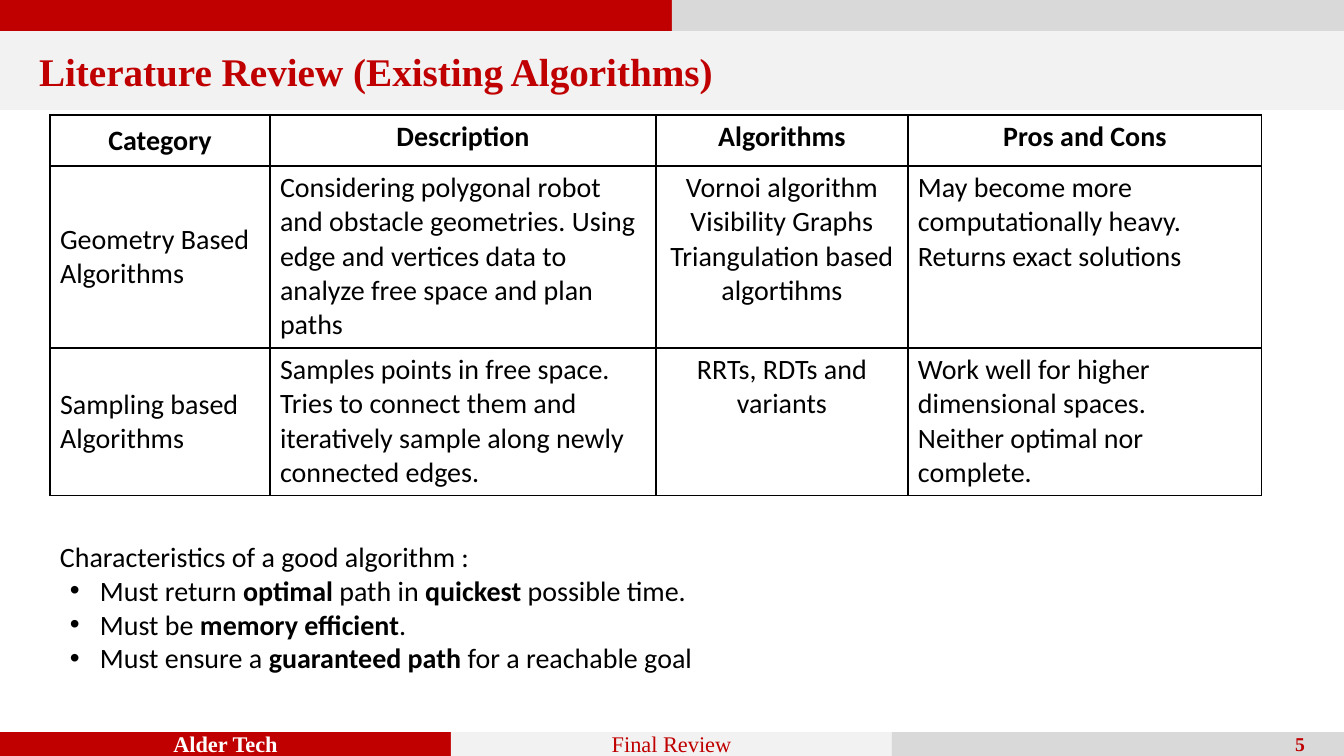
from lxml import etree
from pptx import Presentation
from pptx import util as u
from pptx.dml.color import RGBColor
from pptx.enum import shapes, text
from pptx.oxml.ns import qn

# Content
SERIF, SANS = "Times New Roman", "Calibri"
RED, GREY, PALE, WHITE, BLACK = "C00000", "D9D9D9", "F2F2F2", "FFFFFF", "000000"
LEFT, CENTER, RIGHT = text.PP_ALIGN.LEFT, text.PP_ALIGN.CENTER, text.PP_ALIGN.RIGHT

# box in px, fill, words, size, colour, bold, alignment, left and right inset in px
BANDS = [
    ((0, 0, 672, 31), RED, "", 16, WHITE, False, CENTER, 10, 10),
    ((672, 0, 672, 31), GREY, "", 16, WHITE, False, CENTER, 10, 10),
    ((0, 31, 1344, 79), PALE, "Literature Review (Existing Algorithms)",
     28, RED, True, LEFT, 39, 10),
    ((0, 732, 451, 24), RED, "Alder Tech", 16, WHITE, True, CENTER, 10, 10),
    ((451, 732, 441, 24), PALE, "Final Review", 16, RED, False, CENTER, 10, 10),
    ((892, 732, 452, 24), GREY, "5", 14, RED, True, RIGHT, 10, 39),
]

TABLE_AT = (50, 115)
COLUMNS = [220, 386, 252, 354]
ROWS = [51, 182, 147]
REVIEW = [
    [["Category"], ["Description"], ["Algorithms"], ["Pros and Cons"]],
    [["Geometry Based Algorithms"],
     ["Considering polygonal robot and obstacle geometries. Using edge and "
      "vertices data to analyze free space and plan paths"],
     ["Vornoi algorithm", "Visibility Graphs", "Triangulation based algortihms"],
     ["May become more computationally heavy.", "Returns exact solutions"]],
    [["Sampling based Algorithms"],
     ["Samples points in free space. Tries to connect them and iteratively "
      "sample along newly connected edges."],
     ["RRTs, RDTs and variants"],
     ["Work well for higher dimensional spaces.", "Neither optimal nor complete."]],
]
ALGORITHMS_COLUMN = 2

GOALS_BOX = (50, 535, 659, 146)
GOALS_TITLE = "Characteristics of a good algorithm :"
# plain and bold runs alternate, starting with plain
GOALS = [
    ["Must return ", "optimal", " path in ", "quickest", " possible time."],
    ["Must be ", "memory efficient", "."],
    ["Must ensure a ", "guaranteed path", " for a reachable goal"],
]


# Helpers
def px(n):
    return u.Emu(n * 9080)


def rgb(colour):
    return RGBColor.from_string(colour)


def add_run(paragraph, words, size=20, colour=BLACK, bold=False, face=SANS):
    run = paragraph.add_run()
    run.text = words
    run.font.size, run.font.bold, run.font.name = u.Pt(size), bold, face
    run.font.color.rgb = rgb(colour)


def next_paragraph(frame, index):
    return frame.add_paragraph() if index else frame.paragraphs[0]


def add_borders(cell):
    properties = cell._tc.get_or_add_tcPr()
    for side in ("a:lnL", "a:lnR", "a:lnT", "a:lnB"):
        line = etree.SubElement(properties, qn(side), w=str(u.Pt(1)))
        fill = etree.SubElement(line, qn("a:solidFill"))
        etree.SubElement(fill, qn("a:srgbClr"), val=BLACK)


def add_bullet(paragraph):
    properties = paragraph._p.get_or_add_pPr()
    properties.set("marL", str(px(40)))
    properties.set("indent", str(-px(30)))
    etree.SubElement(properties, qn("a:buFont"), typeface="Arial")
    etree.SubElement(properties, qn("a:buChar"), char="•")


deck = Presentation()
deck.slide_width, deck.slide_height = px(1344), px(756)
slide = deck.slides.add_slide(deck.slide_layouts[6])

# Header and footer bands
for box, fill, words, size, colour, bold, align, left, right in BANDS:
    band = slide.shapes.add_shape(shapes.MSO_SHAPE.RECTANGLE, *map(px, box))
    band.shadow.inherit = False
    band.fill.solid()
    band.fill.fore_color.rgb = rgb(fill)
    band.line.fill.background()
    if words:
        frame = band.text_frame
        frame.vertical_anchor = text.MSO_ANCHOR.MIDDLE
        frame.margin_left, frame.margin_right = px(left), px(right)
        frame.paragraphs[0].alignment = align
        add_run(frame.paragraphs[0], words, size, colour, bold, SERIF)

# Review table
review = slide.shapes.add_table(
    len(ROWS), len(COLUMNS), *map(px, (*TABLE_AT, sum(COLUMNS), sum(ROWS)))).table
review.first_row = review.horz_banding = False
for column, width in zip(review.columns, COLUMNS):
    column.width = px(width)
for row, height in zip(review.rows, ROWS):
    row.height = px(height)
for r, entries in enumerate(REVIEW):
    for c, lines in enumerate(entries):
        cell = review.cell(r, c)
        add_borders(cell)
        cell.fill.background()
        cell.vertical_anchor = text.MSO_ANCHOR.TOP if c else text.MSO_ANCHOR.MIDDLE
        centred = r == 0 or c == ALGORITHMS_COLUMN
        for i, words in enumerate(lines):
            paragraph = next_paragraph(cell.text_frame, i)
            paragraph.alignment = CENTER if centred else LEFT
            add_run(paragraph, words, bold=r == 0)

# Characteristics of a good algorithm
goals = slide.shapes.add_textbox(*map(px, GOALS_BOX)).text_frame
goals.word_wrap = True
for i, runs in enumerate([[GOALS_TITLE], *GOALS]):
    paragraph = next_paragraph(goals, i)
    if i:
        add_bullet(paragraph)
    for j, words in enumerate(runs):
        add_run(paragraph, words, bold=j % 2 == 1)

deck.save("out.pptx")
